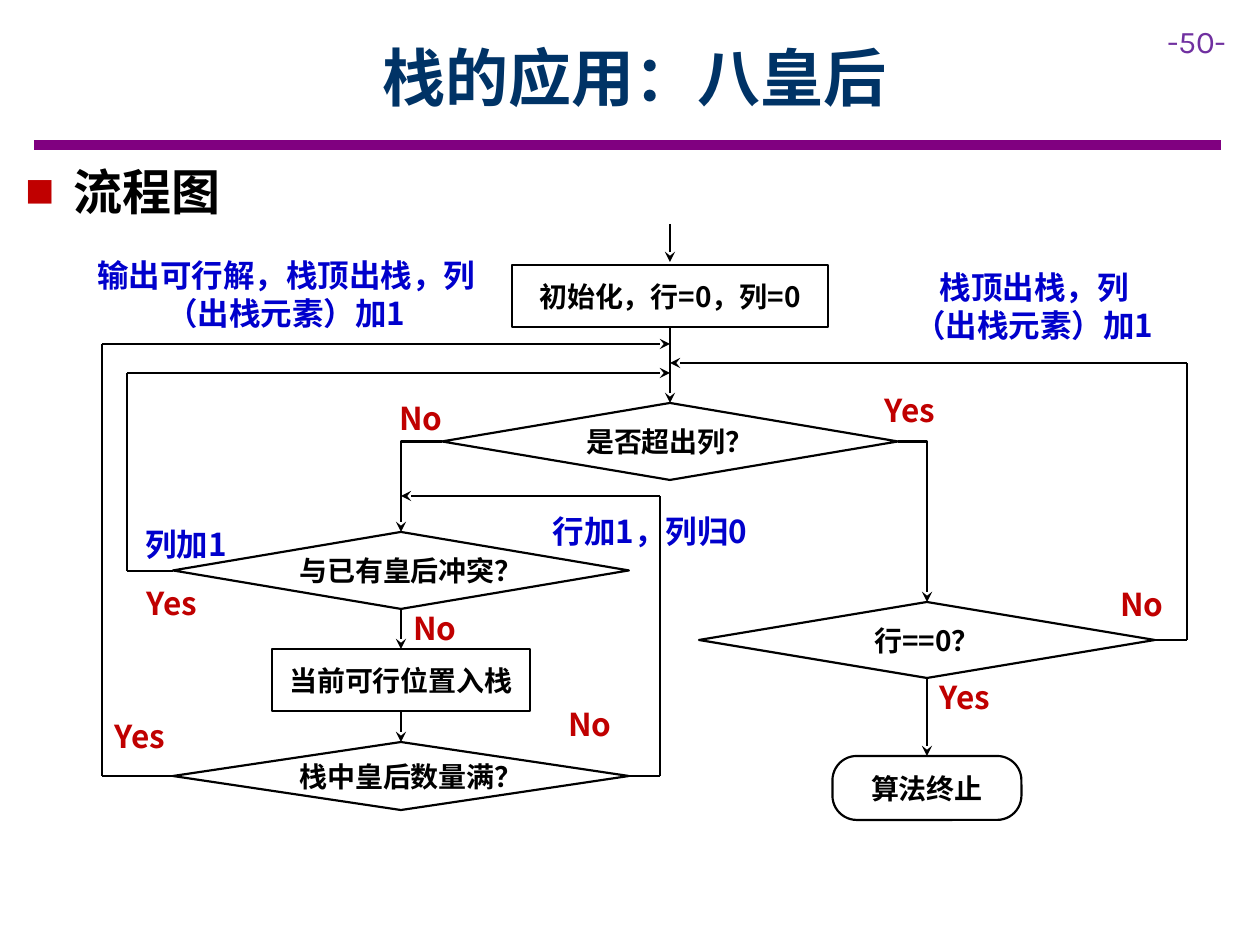
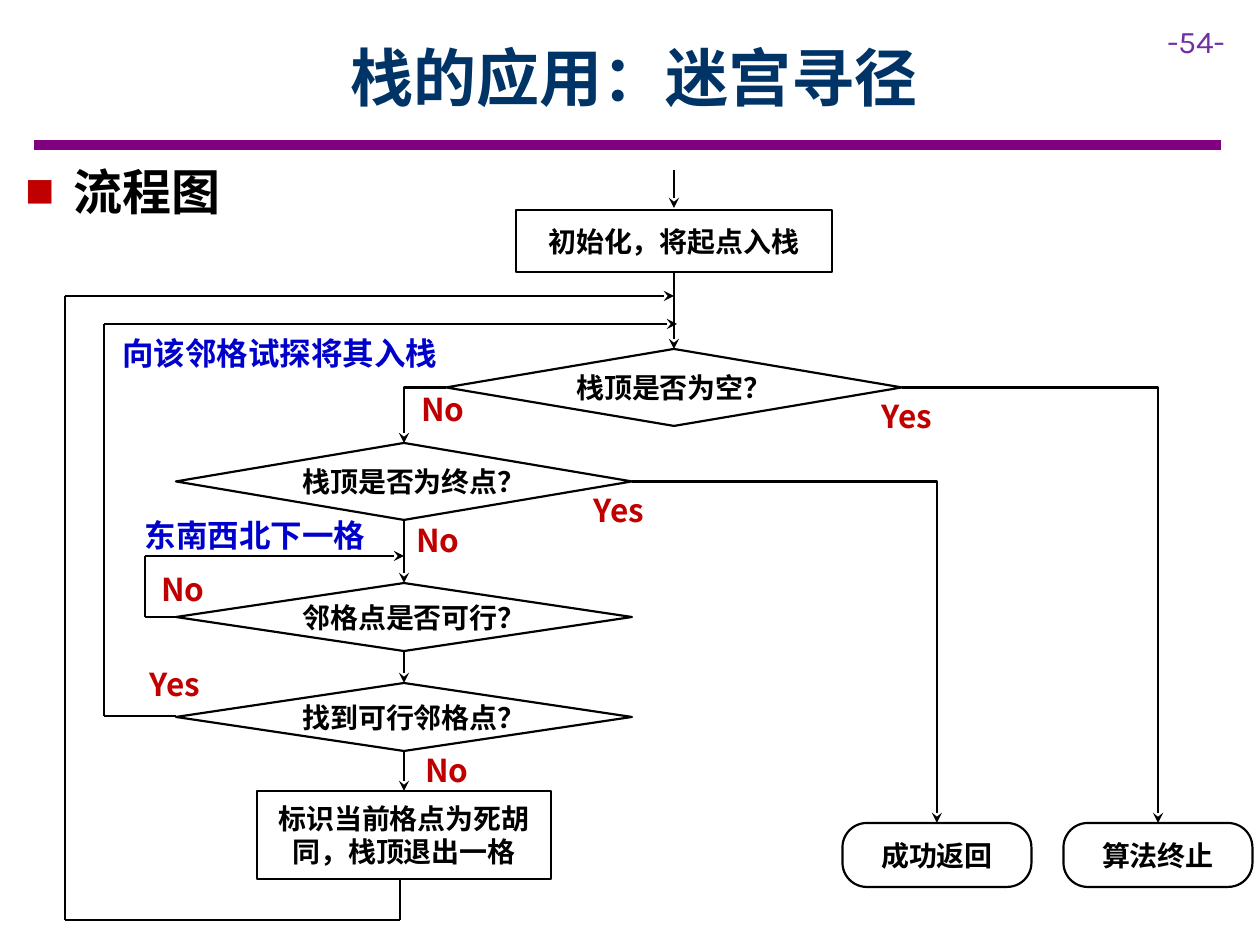
from itertools import pairwise

from lxml import etree
from pptx import Presentation
from pptx import util as u
from pptx.dml.color import RGBColor
from pptx.enum import shapes, text
from pptx.oxml import ns

PX = 914400 / 126
BLACK = RGBColor(0x00, 0x00, 0x00)
NAVY = RGBColor(0x00, 0x33, 0x66)
BLUE = RGBColor(0x00, 0x00, 0xCC)
RED = RGBColor(0xC0, 0x00, 0x00)
PURPLE = RGBColor(0x80, 0x00, 0x80)
VIOLET = RGBColor(0x70, 0x30, 0xA0)
BODY_FONT = "Noto Sans CJK SC"
NUMBER_FONT = "Karla"
LEFT, CENTER = text.PP_ALIGN.LEFT, text.PP_ALIGN.CENTER
TOP, BOTTOM, RIGHT_SITE, LEFT_SITE = 0, 2, 3, 1
LABEL_HEIGHT = 44
ANSWER_WIDTH = 92


def emu(px):
    return u.Emu(round(px * PX))


def add_xml(parent, tag, **attributes):
    return etree.SubElement(parent, ns.qn(tag), attributes)


def write(box, words, size=16, color=BLACK, font=BODY_FONT, bold=True,
          align=CENTER, after=0, anchor=text.MSO_ANCHOR.MIDDLE, inset=13):
    frame = box.text_frame
    frame.word_wrap = True
    frame.vertical_anchor = anchor
    frame.margin_top = frame.margin_bottom = emu(inset)
    frame.margin_left = frame.margin_right = u.Inches(0.1)
    para = frame.paragraphs[0]
    para.alignment = align
    para.space_after = u.Pt(after)
    span = para.add_run()
    span.text = words
    span.font.size = u.Pt(size)
    span.font.bold = bold
    span.font.color.rgb = color
    span.font.name = font
    add_xml(span.font._element, "a:ea", typeface=font)
    return para


class FlowPage:
    def __init__(self, deck):
        self.deck = deck
        self.page = None

    def start(self, title, number):
        self.page = self.deck.slides.add_slide(self.deck.slide_layouts[6])
        self.line((34, 145), (1221, 145), color=PURPLE, width=6)
        plain = dict(anchor=text.MSO_ANCHOR.TOP, inset=6)
        write(self.box(1155, 16, 105, 50), number, size=18, color=VIOLET,
              font=NUMBER_FONT, bold=False, align=LEFT, **plain)
        write(self.box(111, 33, 1047, 126), title, size=36, color=NAVY, **plain)
        para = write(self.box(13, 155, 1193, 72), "流程图", size=28, align=LEFT,
                     after=6, **plain)
        self.bullet(para)

    def bullet(self, para):
        props = para._p.get_or_add_pPr()
        props.set("marL", str(emu(48)))
        props.set("indent", str(emu(-48)))
        color = add_xml(props, "a:buClr")
        add_xml(color, "a:srgbClr", val=str(RED))
        add_xml(props, "a:buSzPct", val="60000")
        add_xml(props, "a:buFont", typeface=BODY_FONT)
        add_xml(props, "a:buChar", char="■")

    def box(self, left, top, width, height):
        return self.page.shapes.add_textbox(*map(emu, (left, top, width, height)))

    def node(self, kind, words, center, top, width, height, **style):
        shape = self.page.shapes.add_shape(
            kind, *map(emu, (center - width / 2, top, width, height)))
        shape.shadow.inherit = False
        shape.fill.background()
        shape.line.color.rgb = BLACK
        shape.line.width = u.Pt(1.25)
        write(shape, words, **style)
        return shape

    def step(self, words, center, top, width=316, height=62):
        return self.node(shapes.MSO_SHAPE.RECTANGLE, words, center, top,
                         width, height, after=6)

    def choice(self, words, center, top, height=77, align=CENTER):
        return self.node(shapes.MSO_SHAPE.DIAMOND, words, center, top,
                         456, height, align=align)

    def finish(self, words, center, top):
        shape = self.node(shapes.MSO_SHAPE.ROUNDED_RECTANGLE, words, center, top,
                          189, 64)
        shape.adjustments[0] = 0.38
        return shape

    def label(self, words, center, middle, width, height=LABEL_HEIGHT, color=BLUE):
        box = self.box(center - width / 2, middle - height / 2, width, height)
        write(box, words, size=18, color=color, after=6)

    def answers(self, words, *spots):
        for center, middle in spots:
            self.label(words, center, middle, ANSWER_WIDTH, color=RED)

    def line(self, start, end, color=BLACK, width=1.25, arrow=False,
             kind=shapes.MSO_CONNECTOR.STRAIGHT):
        connector = self.page.shapes.add_connector(kind, *map(emu, start + end))
        connector.line.color.rgb = color
        connector.line.width = u.Pt(width)
        if arrow:
            add_xml(connector.line._get_or_add_ln(), "a:tailEnd", type="stealth")
        add_xml(connector._element.spPr, "a:effectLst")
        return connector

    def route(self, *points):
        legs = list(pairwise(points))
        for start, end in legs:
            self.line(start, end, arrow=end == points[-1])

    def link(self, source, site, target, kind=shapes.MSO_CONNECTOR.STRAIGHT):
        connector = self.line((0, 0), (0, 0), arrow=True, kind=kind)
        connector.begin_connect(source, site)
        connector.end_connect(target, TOP)
        return connector

    def down(self, *nodes):
        for source, target in pairwise(nodes):
            self.link(source, BOTTOM, target)

    def branch(self, source, site, target):
        connector = self.link(source, site, target, shapes.MSO_CONNECTOR.ELBOW)
        outline = connector._element.spPr.find(ns.qn("a:prstGeom"))
        outline.set("prst", "bentConnector2")


def draw_queens(flow):
    flow.start("栈的应用：八皇后", "-50-")
    main, left, right = 670, 401, 927
    setup = flow.step("初始化，行=0，列=0", main, 265)
    past_column = flow.choice("是否超出列？", main, 403)
    conflict = flow.choice("与已有皇后冲突？", left, 532, align=LEFT)
    push = flow.step("当前可行位置入栈", left, 649, width=258)
    full = flow.choice("栈中皇后数量满？", left, 742, height=68, align=LEFT)
    first_row = flow.choice("行==0？", right, 602, height=76)
    stop = flow.finish("算法终止", right, 756)

    flow.route((main, 224), (main, 262))
    flow.down(setup, past_column)
    flow.down(conflict, push, full)
    flow.down(first_row, stop)
    flow.branch(past_column, LEFT_SITE, conflict)
    flow.branch(past_column, RIGHT_SITE, first_row)
    flow.route((173, 776), (102, 776), (102, 344), (main, 344))
    flow.route((173, 571), (127, 571), (127, 373), (main, 373))
    flow.route((629, 776), (660, 776), (660, 496), (left, 496))
    flow.route((1155, 640), (1187, 640), (1187, 363), (main, 363))

    flow.label("输出可行解，栈顶出栈，列（出栈元素）加1", 286, 294, 459, 91)
    flow.label("栈顶出栈，列（出栈元素）加1", 1034, 306, 271)
    flow.label("列加1", 186, 544, 132)
    flow.label("行加1，列归0", 650, 531, 267)
    flow.answers("No", (421, 418), (435, 628), (590, 724), (1142, 604))
    flow.answers("Yes", (172, 603), (140, 736), (910, 410), (965, 697))


def draw_maze(flow):
    flow.start("栈的应用：迷宫寻径", "-54-")
    main, left = 674, 404
    setup = flow.step("初始化，将起点入栈", main, 210)
    empty = flow.choice("栈顶是否为空？", main, 349)
    goal = flow.choice("栈顶是否为终点？", left, 443, align=LEFT)
    passable = flow.choice("邻格点是否可行？", left, 583, height=68, align=LEFT)
    found = flow.choice("找到可行邻格点？", left, 683, height=68, align=LEFT)
    dead_end = flow.step("标识当前格点为死胡同，栈顶退出一格", left, 791,
                         width=294, height=88)
    success = flow.finish("成功返回", 937, 823)
    stop = flow.finish("算法终止", 1158, 823)

    flow.route((main, 170), (main, 208))
    flow.down(setup, empty)
    flow.down(goal, passable, found, dead_end)
    flow.branch(empty, LEFT_SITE, goal)
    flow.branch(empty, RIGHT_SITE, stop)
    flow.branch(goal, RIGHT_SITE, success)
    flow.route((176, 617), (145, 617), (145, 556), (left, 556))
    flow.route((176, 716), (104, 716), (104, 324), (677, 324))
    flow.route((400, 879), (400, 920), (65, 920), (65, 296), (main, 296))

    flow.label("向该邻格试探将其入栈", 280, 353, 353)
    flow.label("东南西北下一格", 255, 535, 246)
    flow.answers("No", (443, 409), (438, 540), (183, 589), (447, 770))
    flow.answers("Yes", (907, 416), (619, 510), (175, 684))


def main():
    deck = Presentation()
    deck.slide_width, deck.slide_height = emu(1260), emu(945)
    flow = FlowPage(deck)
    draw_queens(flow)
    draw_maze(flow)
    deck.save("out.pptx")


if __name__ == "__main__":
    main()
